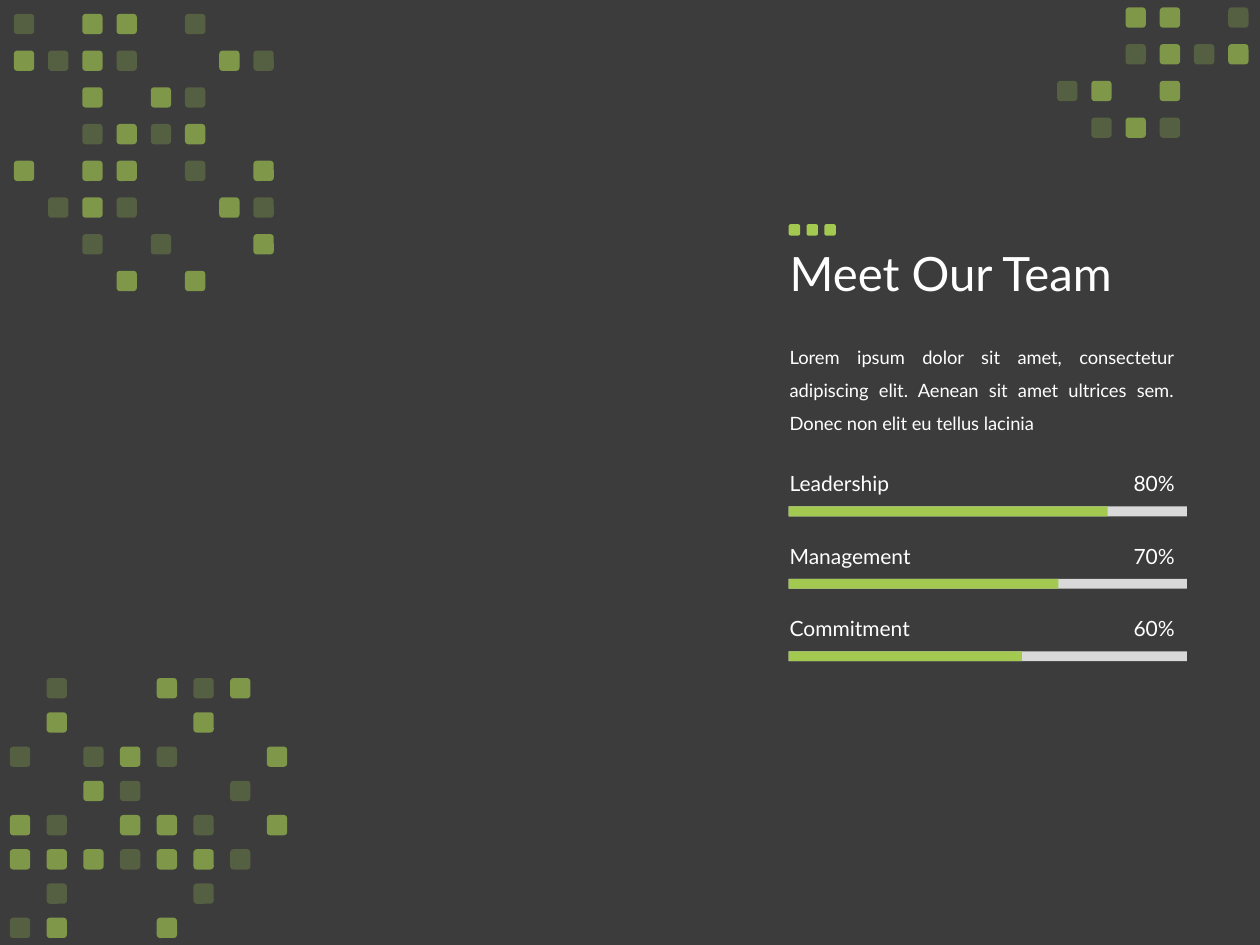
from lxml.etree import SubElement
from pptx import Presentation
from pptx.dml.color import RGBColor
from pptx.enum.shapes import MSO_SHAPE as SHAPE
from pptx.enum.text import MSO_ANCHOR as ANCHOR, PP_ALIGN as ALIGN
from pptx.oxml.ns import qn
from pptx.util import Cm, Pt

FONT = "Lato"
DARK, GREEN, GREY, WHITE = "3C3C3C", "A3C951", "D9D9D9", "FFFFFF"
OPACITY = {"L": 65, "F": 25, "S": 100}
LEFT, TEXT_LEFT = 15.9, 15.67

TOP_LEFT = ["F-LL-F--", "LFLF--LF", "--L-LF--", "--FLFL--",
            "L-LL-F-L", "-FLF--LF", "--F-F--L", "---L-L--"]
BOTTOM_LEFT = ["-F--LFL-", "-L---L--", "F-FLF--L", "--LF--F-",
               "LF-LLF-L", "LLLFLLF-", "-F---F--", "FL--L---"]
TOP_RIGHT = ["--LL-F", "--FLFL", "FL-L--", "-FLF--"]
SKILLS = [("Leadership", "80%", 6.43), ("Management", "70%", 5.44),
          ("Commitment", "60%", 4.7)]


def paint(fill, color, opacity=100):
    """Fill with a hex colour at an opacity in percent."""
    fill.solid()
    fill.fore_color.rgb = RGBColor.from_string(color)
    if opacity < 100:
        clr = fill._xPr.find(".//" + qn("a:srgbClr"))
        SubElement(clr, qn("a:alpha"), val=str(opacity * 1000))


def add_block(shapes, kind, x, y, w, h, color, opacity=100):
    """Add a plain filled shape without outline or shadow."""
    sp = shapes.add_shape(kind, Cm(x), Cm(y), Cm(w), Cm(h))
    sp.shadow.inherit = False
    sp.line.fill.background()
    paint(sp.fill, color, opacity)


def add_mosaic(s, rows, x, y, dx, dy, size):
    """Add a group of rounded squares laid out by letter pattern."""
    shapes = s.shapes.add_group_shape().shapes
    for i, row in enumerate(rows):
        for j, tone in enumerate(row):
            if tone in OPACITY:
                add_block(shapes, SHAPE.ROUNDED_RECTANGLE, x + j * dx, y + i * dy,
                          size, size, GREEN, OPACITY[tone])


def add_text(s, text, x, y, w, h, size, align=ALIGN.LEFT, anchor=ANCHOR.MIDDLE, spacing=1.0):
    """Add a wrapped one-paragraph text box."""
    tf = s.shapes.add_textbox(Cm(x), Cm(y), Cm(w), Cm(h)).text_frame
    tf.word_wrap = True
    tf.vertical_anchor = anchor
    p = tf.paragraphs[0]
    p.alignment = align
    p.line_spacing = spacing
    r = p.add_run()
    r.text = text
    r.font.name = FONT
    r.font.size = Pt(size)
    r.font.color.rgb = RGBColor.from_string(WHITE)


def add_skill(s, name, percent, length, y):
    """Add a labelled progress bar."""
    add_text(s, name, TEXT_LEFT, y, 3.94, 0.76, 12)
    add_text(s, percent, 21.92, y, 2.01, 0.76, 12, ALIGN.RIGHT)
    for width, color in ((8.03, GREY), (length, GREEN)):
        add_block(s.shapes, SHAPE.RECTANGLE, LEFT, y + 0.84, width, 0.2, color)


def main():
    """Build the team slide and save it."""
    prs = Presentation()
    prs.slide_width, prs.slide_height = Cm(25.4), Cm(19.05)
    s = prs.slides.add_slide(prs.slide_layouts[6])
    paint(s.background.fill, DARK)
    add_mosaic(s, TOP_LEFT, 0.28, 0.28, 0.69, 0.74, 0.41)
    add_mosaic(s, BOTTOM_LEFT, 0.2, 13.67, 0.74, 0.69, 0.41)
    add_mosaic(s, TOP_RIGHT, 21.31, 0.15, 0.69, 0.74, 0.41)
    add_mosaic(s, ["SSS"], LEFT, 4.52, 0.36, 0, 0.23)
    add_text(s, "Meet Our Team", TEXT_LEFT, 3.73, 21.89, 3.68, 27, spacing=0.9)
    add_text(s, "Lorem ipsum dolor sit amet, consectetur adipiscing elit. "
             "Aenean sit amet ultrices sem. Donec non elit eu tellus lacinia",
             TEXT_LEFT, 6.63, 8.25, 2.18, 10.5, ALIGN.JUSTIFY, ANCHOR.TOP, 1.5)
    for i, (name, percent, length) in enumerate(SKILLS):
        add_skill(s, name, percent, length, 9.37 + i * 1.46)
    prs.save("out.pptx")


if __name__ == "__main__":
    main()
